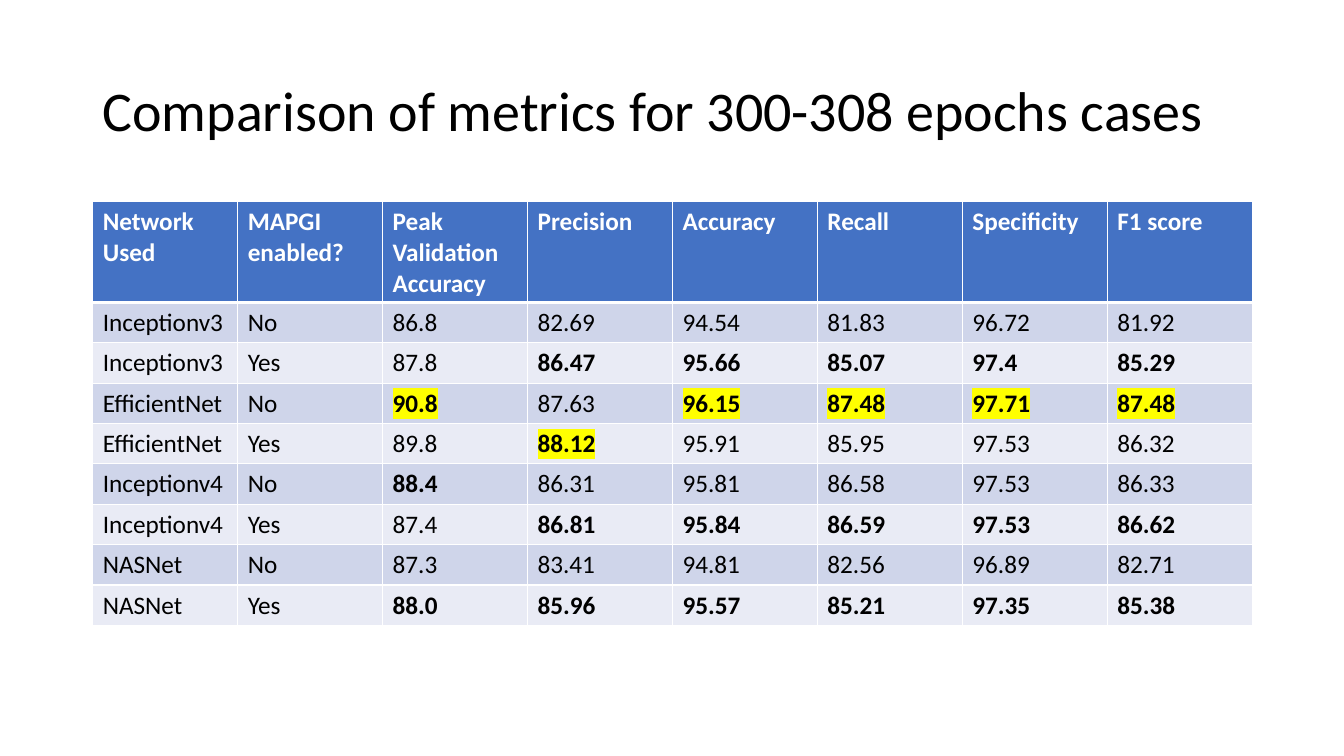
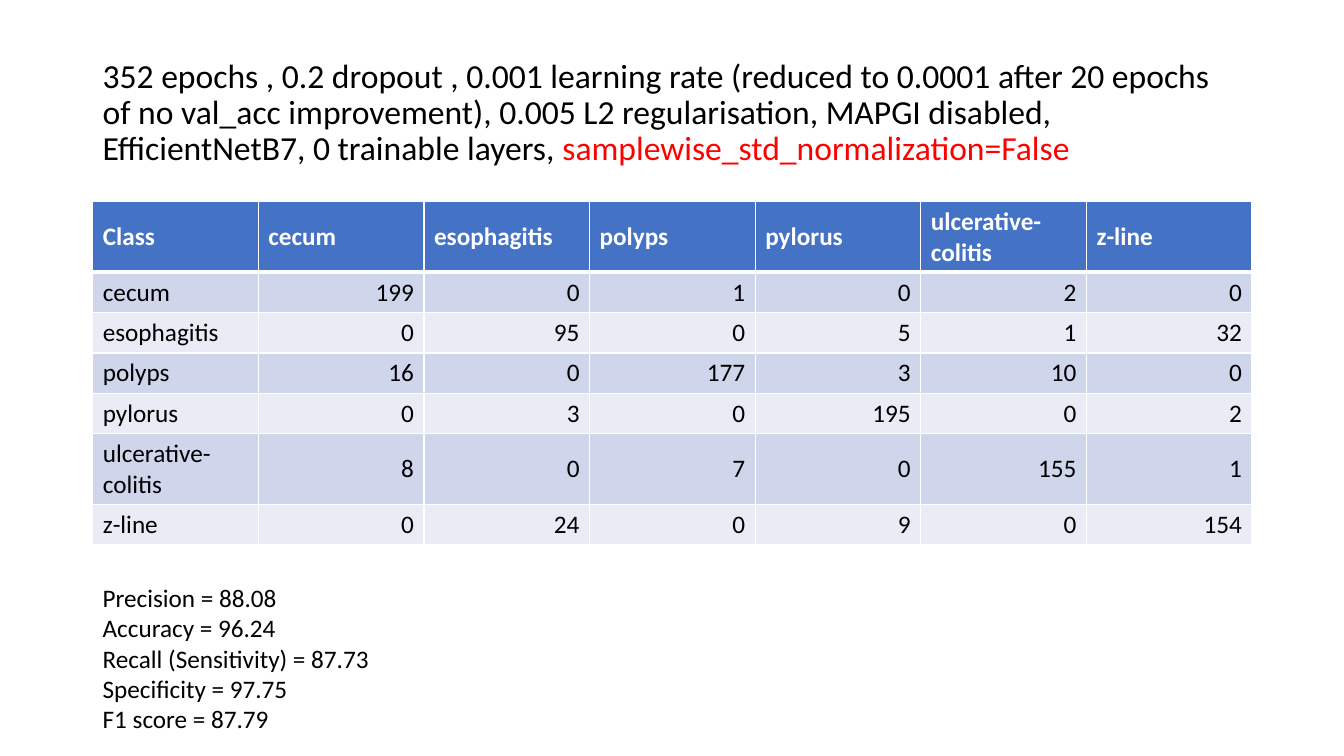
from dataclasses import dataclass

from lxml import etree
from pptx import Presentation
from pptx.dml.color import RGBColor
from pptx.enum.text import MSO_ANCHOR, PP_ALIGN
from pptx.oxml.ns import qn
from pptx.slide import Slide
from pptx.table import _Cell
from pptx.text.text import TextFrame
from pptx.util import Inches, Length, Pt

TOP, MIDDLE = MSO_ANCHOR.TOP, MSO_ANCHOR.MIDDLE
LEFT, RIGHT = PP_ALIGN.LEFT, PP_ALIGN.RIGHT
BLANK_LAYOUT = 6


@dataclass(frozen=True)
class Theme:
    font: str = "Calibri"
    title_size: int = 40
    subtitle_size: int = 24
    body_size: int = 18
    black: str = "000000"
    white: str = "FFFFFF"
    red: str = "FF0000"
    yellow: str = "FFFF00"
    header_fill: str = "4472C4"
    band_fills: tuple[str, str] = ("CFD5EA", "E9EBF5")
    thin_border: int = 1
    header_border: int = 3


@dataclass(frozen=True)
class Run:
    text: str
    color: str = "000000"
    bold: bool = False
    highlight: str | None = None


@dataclass(frozen=True)
class TableData:
    header: list[str]
    rows: list[list[str]]
    header_height: float
    anchor: MSO_ANCHOR = TOP
    value_alignment: PP_ALIGN = LEFT


THEME = Theme()
CONTENT_LEFT = Inches(0.92)
CONTENT_WIDTH = Inches(11.5)
TABLE_TOP = Inches(2)
ROW_HEIGHT = 0.4

# One star marks a bold value, two stars the highlighted best value of a column
METRICS = TableData(
    header=["Network Used", "MAPGI enabled?", "Peak Validation Accuracy",
            "Precision", "Accuracy", "Recall", "Specificity", "F1 score"],
    rows=[
        ["Inceptionv3", "No", "86.8", "82.69", "94.54", "81.83", "96.72", "81.92"],
        ["Inceptionv3", "Yes", "87.8", "*86.47", "*95.66", "*85.07", "*97.4", "*85.29"],
        ["EfficientNet", "No", "**90.8", "87.63", "**96.15", "**87.48", "**97.71", "**87.48"],
        ["EfficientNet", "Yes", "89.8", "**88.12", "95.91", "85.95", "97.53", "86.32"],
        ["Inceptionv4", "No", "*88.4", "86.31", "95.81", "86.58", "97.53", "86.33"],
        ["Inceptionv4", "Yes", "87.4", "*86.81", "*95.84", "*86.59", "*97.53", "*86.62"],
        ["NASNet", "No", "87.3", "83.41", "94.81", "82.56", "96.89", "82.71"],
        ["NASNet", "Yes", "*88.0", "*85.96", "*95.57", "*85.21", "*97.35", "*85.38"],
    ],
    header_height=1,
)

CLASSES = ["cecum", "esophagitis", "polyps", "pylorus", "ulcerative-colitis", "z-line"]
CONFUSION_COUNTS = [
    [199, 0, 1, 0, 2, 0],
    [0, 95, 0, 5, 1, 32],
    [16, 0, 177, 3, 10, 0],
    [0, 3, 0, 195, 0, 2],
    [8, 0, 7, 0, 155, 1],
    [0, 24, 0, 9, 0, 154],
]
CONFUSION_MATRIX = TableData(
    header=["Class", *CLASSES],
    rows=[[name, *map(str, counts)] for name, counts in zip(CLASSES, CONFUSION_COUNTS)],
    header_height=0.7,
    anchor=MIDDLE,
    value_alignment=RIGHT,
)

SETTINGS = [
    Run("352 epochs , 0.2 dropout , 0.001 learning rate (reduced to 0.0001 after "
        "20 epochs of no val_acc improvement), 0.005 L2 regularisation, MAPGI "
        "disabled, EfficientNetB7, 0 trainable layers, "),
    Run("samplewise_std_normalization=False", color=THEME.red),
]
SCORES = [
    "Precision = 88.08",
    "Accuracy = 96.24",
    "Recall (Sensitivity) = 87.73",
    "Specificity = 97.75",
    "F1 score = 87.79",
]


# Text
def write_text(text_frame: TextFrame, paragraphs: list[list[Run]], *,
               size: int = THEME.body_size, alignment: PP_ALIGN = LEFT,
               line_spacing: float = 1.0) -> None:
    for index, runs in enumerate(paragraphs):
        paragraph = text_frame.add_paragraph() if index else text_frame.paragraphs[0]
        paragraph.alignment = alignment
        paragraph.line_spacing = line_spacing
        for item in runs:
            run = paragraph.add_run()
            run.text = item.text
            font = run.font
            font.size, font.bold = Pt(size), item.bold
            font.color.rgb = RGBColor.from_string(item.color)
            font.name = THEME.font
            if item.highlight:
                highlight = etree.Element(qn("a:highlight"))
                etree.SubElement(highlight, qn("a:srgbClr"), val=item.highlight)
                run._r.rPr.find(qn("a:latin")).addprevious(highlight)


def add_text_box(slide: Slide, top: Length, width: Length, height: Length,
                 anchor: MSO_ANCHOR = TOP) -> TextFrame:
    text_frame = slide.shapes.add_textbox(CONTENT_LEFT, top, width, height).text_frame
    text_frame.word_wrap = True
    text_frame.vertical_anchor = anchor
    return text_frame


def add_title(slide: Slide, runs: list[Run], size: int) -> None:
    text_frame = add_text_box(slide, Inches(0.4), CONTENT_WIDTH, Inches(1.45), MIDDLE)
    write_text(text_frame, [runs], size=size, line_spacing=0.9)


# Table
def style_cell(cell: _Cell, fill: str, anchor: MSO_ANCHOR, top_border: int,
               bottom_border: int) -> None:
    properties = cell._tc.get_or_add_tcPr()
    borders = {"L": THEME.thin_border, "R": THEME.thin_border,
               "T": top_border, "B": bottom_border}
    for side, width in borders.items():
        line = etree.SubElement(properties, qn(f"a:ln{side}"), w=str(Pt(width)))
        line_fill = etree.SubElement(line, qn("a:solidFill"))
        etree.SubElement(line_fill, qn("a:srgbClr"), val=THEME.white)
    cell.fill.solid()
    cell.fill.fore_color.rgb = RGBColor.from_string(fill)
    cell.vertical_anchor = anchor


def value_run(value: str) -> Run:
    return Run(value.lstrip("*"), THEME.black, value.startswith("*"),
               THEME.yellow if value.startswith("**") else None)


def add_data_table(slide: Slide, data: TableData) -> None:
    rows = [data.header, *data.rows]
    column_count = len(data.header)
    height = Inches(data.header_height + ROW_HEIGHT * len(data.rows))
    table = slide.shapes.add_table(len(rows), column_count, CONTENT_LEFT, TABLE_TOP,
                                   CONTENT_WIDTH, height).table
    for column in table.columns:
        column.width = CONTENT_WIDTH // column_count
    for row_index, values in enumerate(rows):
        is_header = row_index == 0
        table.rows[row_index].height = Inches(data.header_height if is_header else ROW_HEIGHT)
        fill = THEME.header_fill if is_header else THEME.band_fills[(row_index - 1) % 2]
        top_border = THEME.header_border if row_index == 1 else THEME.thin_border
        bottom_border = THEME.header_border if is_header else THEME.thin_border
        for column_index, value in enumerate(values):
            cell = table.cell(row_index, column_index)
            style_cell(cell, fill, data.anchor, top_border, bottom_border)
            run = Run(value, THEME.white, bold=True) if is_header else value_run(value)
            is_label = is_header or column_index == 0
            write_text(cell.text_frame, [[run]],
                       alignment=LEFT if is_label else data.value_alignment)


# Slides
def main() -> None:
    presentation = Presentation()
    presentation.slide_width, presentation.slide_height = Inches(13.33), Inches(7.5)
    layout = presentation.slide_layouts[BLANK_LAYOUT]

    metrics_slide = presentation.slides.add_slide(layout)
    add_title(metrics_slide, [Run("Comparison of metrics for 300-308 epochs cases")],
              THEME.title_size)
    add_data_table(metrics_slide, METRICS)

    confusion_slide = presentation.slides.add_slide(layout)
    add_title(confusion_slide, SETTINGS, THEME.subtitle_size)
    add_data_table(confusion_slide, CONFUSION_MATRIX)
    scores = add_text_box(confusion_slide, Inches(5.73), Inches(3), Inches(1.62))
    write_text(scores, [[Run(score)] for score in SCORES])

    presentation.save("out.pptx")


if __name__ == "__main__":
    main()
